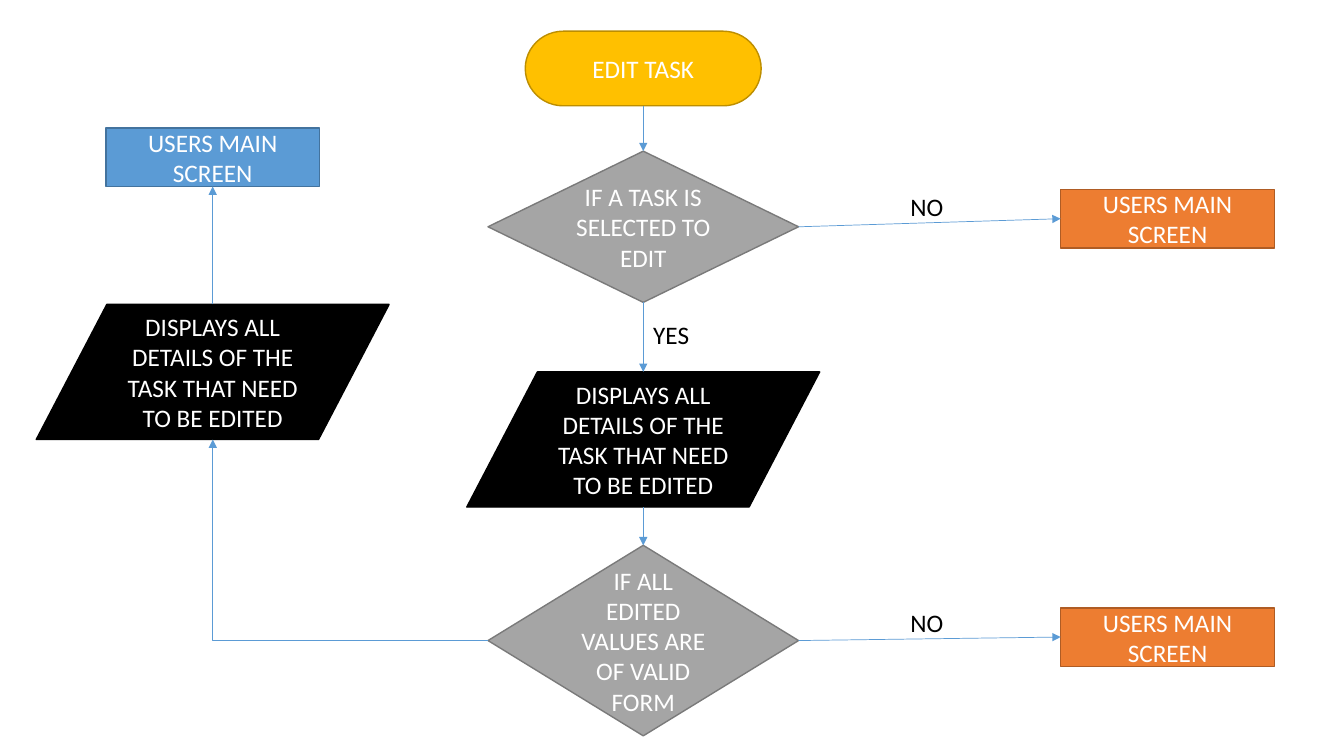
from pptx import Presentation
from pptx.dml.color import RGBColor
from pptx.enum.shapes import MSO_CONNECTOR, MSO_SHAPE
from pptx.enum.text import MSO_ANCHOR, MSO_AUTO_SIZE, PP_ALIGN
from pptx.oxml.ns import qn
from pptx.util import Inches, Pt
from lxml import etree

TERMINATOR = MSO_SHAPE.FLOWCHART_TERMINATOR
DECISION = MSO_SHAPE.FLOWCHART_DECISION
DATA = MSO_SHAPE.FLOWCHART_DATA
PROCESS = MSO_SHAPE.FLOWCHART_PROCESS
STRAIGHT, ELBOW = MSO_CONNECTOR.STRAIGHT, MSO_CONNECTOR.ELBOW
MIDDLE, CENTER, LEFT = MSO_ANCHOR.MIDDLE, PP_ALIGN.CENTER, PP_ALIGN.LEFT
FIT_SHAPE = MSO_AUTO_SIZE.SHAPE_TO_FIT_TEXT

# Fill and outline colours
GOLD = ("FFC000", "BD8E00")
GRAY = ("A5A5A5", "7A7A7A")
BLACK = ("000000", "000000")
BLUE = ("5B9BD5", "43739E")
ORANGE = ("ED7D31", "AF5C24")

# Column centres and shared box sizes
MAIN_X, LEFT_X, RIGHT_X = 6.38, 2.11, 11.58
DATA_SIZE = (3.5, 1.34)
SCREEN_SIZE = (2.12, 0.58)
DETAILS = "DISPLAYS ALL DETAILS OF THE TASK THAT NEED TO BE EDITED"
MAIN_SCREEN = "USERS MAIN SCREEN"


def rgb(value):
    return RGBColor.from_string(value)


def write(tf, text, color="FFFFFF", align=CENTER, size=18, font="Calibri"):
    tf.word_wrap = True
    p = tf.paragraphs[0]
    p.alignment = align
    r = p.add_run()
    r.text = text
    r.font.size = Pt(size)
    r.font.name = font
    r.font.color.rgb = rgb(color)


def add_node(s, kind, center, top, size, colors, text):
    width, height = size
    sp = s.shapes.add_shape(kind, Inches(center - width / 2), Inches(top),
                            Inches(width), Inches(height))
    sp.shadow.inherit = False
    fill, line = colors
    sp.fill.solid()
    sp.fill.fore_color.rgb = rgb(fill)
    sp.line.color.rgb = rgb(line)
    sp.line.width = Pt(1)
    sp.text_frame.vertical_anchor = MIDDLE
    write(sp.text_frame, text)
    return sp


def add_label(s, left, top, text):
    sp = s.shapes.add_textbox(Inches(left), Inches(top), Inches(0.59), Inches(0.4))
    write(sp.text_frame, text, color="000000", align=LEFT)
    sp.text_frame.auto_size = FIT_SHAPE


def side(sp, name):
    """Return the middle point of one side of a node."""
    x, y = sp.left + sp.width // 2, sp.top + sp.height // 2
    return {"top": (x, sp.top), "bottom": (x, sp.top + sp.height),
            "left": (sp.left, y), "right": (sp.left + sp.width, y)}[name]


def style_line(cxn, end="tailEnd"):
    cxn.line.color.rgb = rgb("5B9BD5")
    cxn.line.width = Pt(0.5)
    etree.SubElement(cxn.line._get_or_add_ln(), qn("a:" + end), type="triangle")
    etree.SubElement(cxn._element.spPr, qn("a:effectLst"))


def add_arrow(s, start, end):
    style_line(s.shapes.add_connector(STRAIGHT, *start, *end))


def add_corner_arrow(s, start, end):
    """Run left from start, then up to end: a one-bend connector turned by 180."""
    cxn = s.shapes.add_connector(ELBOW, *end, *start)
    spPr = cxn._element.spPr
    spPr.find(qn("a:xfrm")).set("rot", "10800000")
    spPr.find(qn("a:prstGeom")).set("prst", "bentConnector2")
    style_line(cxn)


def main():
    prs = Presentation()
    prs.slide_width, prs.slide_height = Inches(13.33), Inches(7.5)
    s = prs.slides.add_slide(prs.slide_layouts[6])

    # Main column
    start = add_node(s, TERMINATOR, MAIN_X, 0.31, (2.34, 0.74), GOLD, "EDIT TASK")
    selected = add_node(s, DECISION, MAIN_X, 1.5, (3.08, 1.5), GRAY,
                        "IF A TASK IS SELECTED TO EDIT")
    details = add_node(s, DATA, MAIN_X, 3.69, DATA_SIZE, BLACK, DETAILS)
    valid = add_node(s, DECISION, MAIN_X, 5.41, (3.08, 1.89), GRAY,
                     "IF ALL EDITED VALUES ARE OF VALID FORM")
    column = [start, selected, details, valid]
    for upper, lower in zip(column, column[1:]):
        add_arrow(s, side(upper, "bottom"), side(lower, "top"))
    add_label(s, MAIN_X, 3.12, "YES")

    # "No" branches on the right
    for decision, top, label_top in ((selected, 1.88, 1.85), (valid, 6.03, 5.98)):
        screen = add_node(s, PROCESS, RIGHT_X, top, SCREEN_SIZE, ORANGE, MAIN_SCREEN)
        add_arrow(s, side(decision, "right"), side(screen, "left"))
        add_label(s, 8.93, label_top, "NO")

    # Return branch on the left
    edited = add_node(s, DATA, LEFT_X, 3.02, DATA_SIZE, BLACK, DETAILS)
    screen = add_node(s, PROCESS, LEFT_X, 1.27, SCREEN_SIZE, BLUE, MAIN_SCREEN)
    add_corner_arrow(s, side(valid, "left"), side(edited, "bottom"))
    add_arrow(s, side(edited, "top"), side(screen, "bottom"))

    prs.save("out.pptx")


main()
